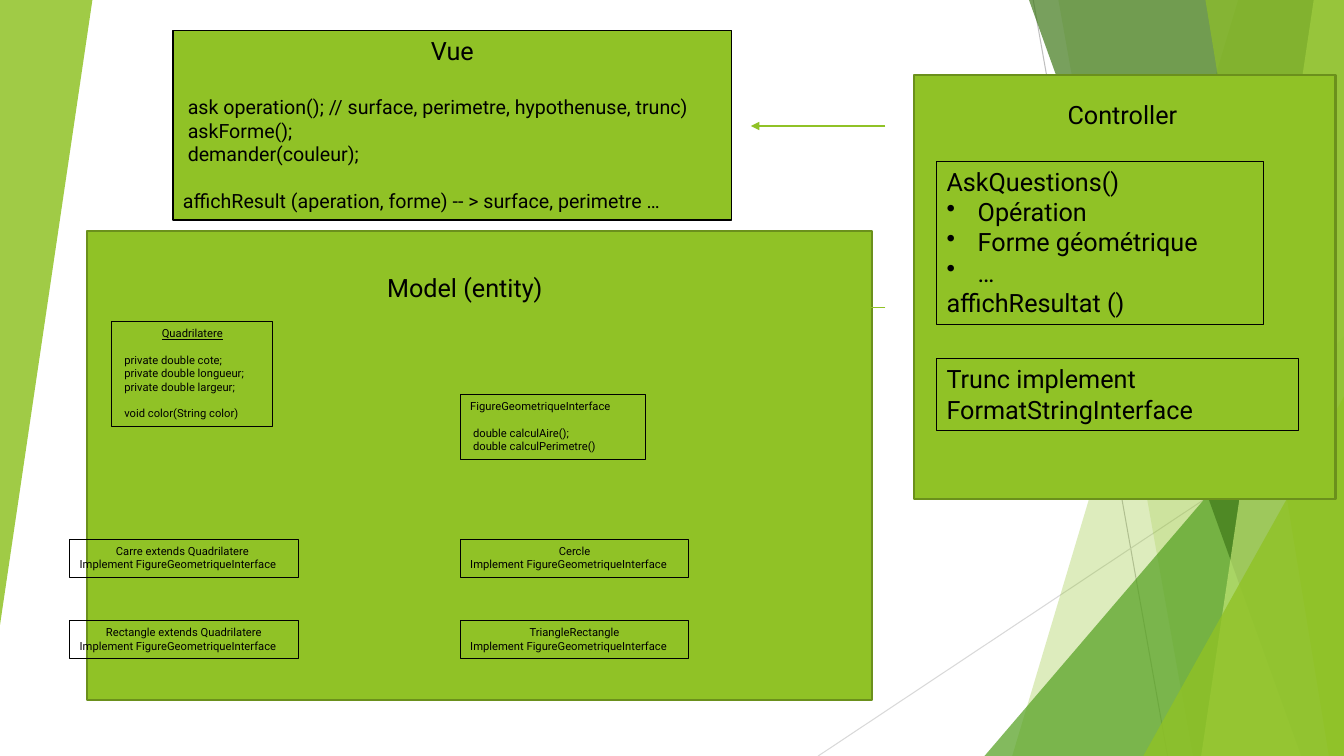
"""Builds the Vue / Model / Controller class diagram slide on a grid of 160 by 90 cells."""
from lxml.etree import SubElement
from pptx import Presentation
from pptx.dml.color import RGBColor
from pptx.enum.shapes import MSO_CONNECTOR, MSO_SHAPE
from pptx.enum.text import PP_ALIGN
from pptx.oxml.ns import qn
from pptx.util import Inches, Pt

THEME = {
    "font": "Roboto", "text": "000000", "line_height": 1.17,
    "heading": 18, "body": 14, "small": 8,
    "green": "90C226", "edge": "6B901C", "leaf": "54A021", "forest": "3F7819", "lime": "C0E474",
    "grey": "BFBFBF", "pale": "D9D9D9",
    "box_line": 0.75, "panel_line": 1.5, "arrow_line": 1,
}

prs = Presentation()
prs.slide_width, prs.slide_height = Inches(13.333), Inches(7.5)
s = prs.slides.add_slide(prs.slide_layouts[6])
cell = prs.slide_height / 90


def grid(*cells):
    """Turn counts of grid cells into lengths."""
    return [round(n * cell) for n in cells]


def add_line(x1, y1, x2, y2, color, width):
    """Draw a straight line between two grid points and return it."""
    cx = s.shapes.add_connector(MSO_CONNECTOR.STRAIGHT, *grid(x1, y1, x2, y2))
    cx.line.color.rgb = RGBColor.from_string(THEME[color])
    cx.line.width = Pt(THEME[width])
    SubElement(cx._element.spPr, qn("a:effectLst"))
    return cx


add_line(123, 0, 139, 90, "grey", "box_line")
add_line(160, 48.4, 97.4, 90, "pale", "box_line")

facets = [
    ([(147.4, 0), (160, 0), (160, 90), (120.5, 90)], "green", 30),
    ([(126, 0), (160, 0), (160, 90), (142, 90)], "green", 20),
    ((117.2, 40, 42.8, 50, 0), "leaf", 72),
    ([(122.5, 0), (160, 0), (160, 90), (154.9, 90)], "forest", 70),
    ([(156.4, 0), (160, 0), (160, 90), (143, 90)], "lime", 70),
    ([(143.5, 0), (160, 0), (160, 90), (158.2, 90)], "green", 65),
    ((136.1, 47.2, 23.9, 42.8, 0), "green", 80),
    ((0, 0, 11, 74.4, 180), "green", 85),
]
for outline, color, opacity in facets:
    if isinstance(outline, list):
        points = [grid(*point) for point in outline]
        fb = s.shapes.build_freeform(*points[0])
        fb.add_line_segments(points[1:], close=True)
        sp = fb.convert_to_shape()
    else:
        *box, turn = outline
        sp = s.shapes.add_shape(MSO_SHAPE.ISOSCELES_TRIANGLE, *grid(*box))
        sp.adjustments[0] = 1
        sp.rotation = turn
    sp.shadow.inherit = False
    sp.line.fill.background()
    sp.fill.solid()
    sp.fill.fore_color.rgb = RGBColor.from_string(THEME[color])
    clr = sp._element.spPr.find(".//" + qn("a:srgbClr"))
    SubElement(clr, qn("a:alpha"), val=str(opacity * 1000))

panels = {"Controller": (108.8, 8.9, 50.2, 50.5), "Model": (10.4, 27.5, 93.4, 55.8)}
for box in panels.values():
    sp = s.shapes.add_shape(MSO_SHAPE.RECTANGLE, *grid(*box))
    sp.shadow.inherit = False
    sp.fill.solid()
    sp.fill.fore_color.rgb = RGBColor.from_string(THEME["green"])
    sp.line.color.rgb = RGBColor.from_string(THEME["edge"])
    sp.line.width = Pt(THEME["panel_line"])

left, middle, right = 8.3, 54.8, 111.5
class_cells = {
    "Carre extends Quadrilatere ": (left, 64.2),
    "Rectangle extends Quadrilatere": (left, 73.9),
    "TriangleRectangle": (middle, 73.9),
    "Cercle": (middle, 64.2),
}
# Paragraph flags: c centred, u underlined, g one line of space above, b bullet, h heading size.
boxes = [
    ((middle, 47, 22, 7.7), "small", "border", [
        ("FigureGeometriqueInterface", ""),
        (" double calculAire();", "g"),
        (" double calculPerimetre()", "")]),
    ((13.3, 38.3, 19.2, 12.5), "small", "border", [
        ("Quadrilatere", "cu"),
        (" private double cote;", "g"),
        (" private double longueur;", ""),
        (" private double largeur;", ""),
        (" void color(String color)", "g")]),
    *[((x, y, 27.2, 4.5), "small", "border", [
        (name, "c"), ("Implement FigureGeometriqueInterface", "")])
      for name, (x, y) in class_cells.items()],
    ((20.6, 3.6, 66.5, 22.6), "body", "border fill", [
        ("Vue", "ch"),
        (" ask operation(); // surface, perimetre, hypothenuse, trunc)", "g"),
        (" askForme();", ""),
        (" demander(couleur);", ""),
        ("affichResult (aperation, forme) -- > surface, perimetre …", "g")]),
    ((right, 42.7, 43.1, 8.5), "heading", "border", [
        ("Trunc implement FormatStringInterface", "")]),
    ((right, 19.2, 38.9, 19.4), "heading", "border", [
        ("AskQuestions()", ""),
        ("Opération", "b"),
        ("Forme géométrique", "b"),
        ("…", "b"),
        ("affichResultat ()", "")]),
    ((44.9, 31.8, 26, 4.8), "heading", "", [("Model (entity)", "")]),
    ((125.9, 11.2, 28.7, 4.8), "heading", "", [("Controller", "")]),
]
for box, size_name, look, lines in boxes:
    sp = s.shapes.add_textbox(*grid(*box))
    if "border" in look:
        sp.line.color.rgb = RGBColor.from_string(THEME["text"])
        sp.line.width = Pt(THEME["box_line"])
    if "fill" in look:
        sp.fill.solid()
        sp.fill.fore_color.rgb = RGBColor.from_string(THEME["green"])
    tf = sp.text_frame
    tf.word_wrap = True
    tf.text = "\n".join(text for text, _ in lines)
    size_above = 0
    for p, (_, flags) in zip(tf.paragraphs, lines):
        size = THEME["heading" if "h" in flags else size_name]
        if "c" in flags:
            p.alignment = PP_ALIGN.CENTER
        if "g" in flags:
            p.space_before = Pt(size_above * THEME["line_height"])
        if "b" in flags:
            pPr = p._p.get_or_add_pPr()
            pPr.set("marL", str(Inches(0.31)))
            pPr.set("indent", str(-Inches(0.31)))
            SubElement(pPr, qn("a:buChar"), char="•")
        r = p.runs[0]
        r.font.name = THEME["font"]
        r.font.size = Pt(size)
        r.font.color.rgb = RGBColor.from_string(THEME["text"])
        if "u" in flags:
            r.font.underline = True
        size_above = size

for y, tip in ((15, 89.4), (36.6, 102.2)):
    arrow = add_line(105.4, y, tip, y, "green", "arrow_line")
    SubElement(arrow.line._get_or_add_ln(), qn("a:tailEnd"), type="triangle")

prs.save("out.pptx")
